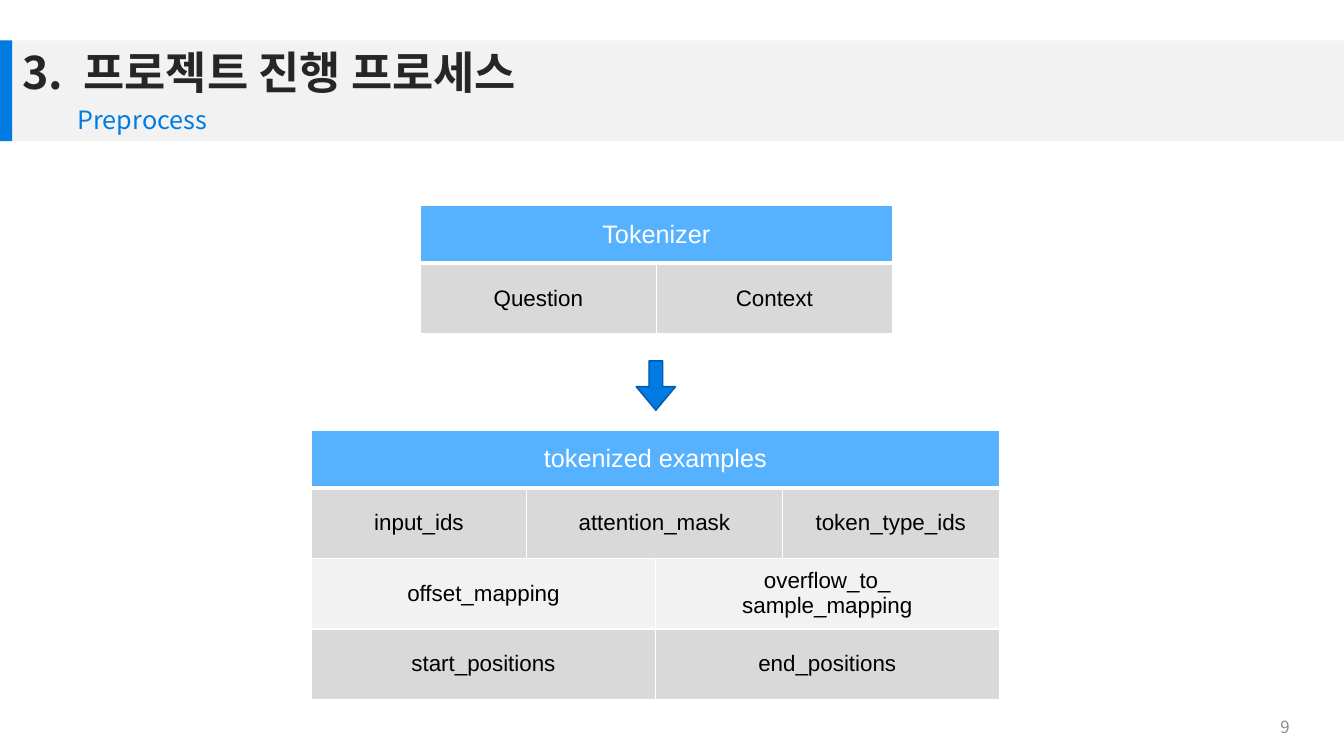
from dataclasses import dataclass

from lxml import etree
from pptx import Presentation
from pptx import util as u
from pptx.dml.color import RGBColor
from pptx.enum import shapes, text
from pptx.oxml import ns

KOREAN = "Noto Sans CJK KR"
BLUE, LIGHT_BLUE, DARK_BLUE = "007BE4", "56B1FF", "005BA9"
PALE, GREY, WHITE, BLACK = "F2F2F2", "D9D9D9", "FFFFFF", "000000"
HEADER_HEIGHT, BODY_HEIGHT = 0.57, 0.7


@dataclass
class Cell:
    label: str
    span: int = 1


@dataclass
class TokenTable:
    left: float
    top: float
    widths: list[float]
    rows: list[list[Cell]]


@dataclass
class Label:
    words: str
    box: tuple[float, float, float, float]
    size: int
    color: str
    align: text.PP_ALIGN = text.PP_ALIGN.LEFT
    bold: bool = False


TABLES = [
    TokenTable(3.09, 4.27, [2.13, 1.28, 1.26, 2.15], [
        [Cell("tokenized examples", 4)],
        [Cell("input_ids"), Cell("attention_mask", 2), Cell("token_type_ids")],
        [Cell("offset_mapping", 2), Cell("overflow_to_\vsample_mapping", 2)],
        [Cell("start_positions", 2), Cell("end_positions", 2)],
    ]),
    TokenTable(4.17, 2.04, [2.34, 2.34], [
        [Cell("Tokenizer", 2)],
        [Cell("Question"), Cell("Context")],
    ]),
]


def rgb(color: str) -> RGBColor:
    return RGBColor.from_string(color)


def style_run(r, font: str, size: int, color: str, bold: bool = False) -> None:
    r.font.name, r.font.size, r.font.bold = font, u.Pt(size), bold
    r.font.color.rgb = rgb(color)
    if font == KOREAN:
        ea = etree.SubElement(r.font._element, ns.qn("a:ea"))
        ea.set("typeface", font)


def write_label(sp, label: Label) -> None:
    sp.left, sp.top, sp.width, sp.height = map(u.Inches, label.box)
    tf = sp.text_frame
    tf.text = label.words
    tf.word_wrap = True
    tf.auto_size = text.MSO_AUTO_SIZE.NONE
    tf.vertical_anchor = text.MSO_ANCHOR.MIDDLE
    p = tf.paragraphs[0]
    p.alignment, p.line_spacing = label.align, 0.9
    for r in p.runs:
        style_run(r, KOREAN, label.size, label.color, label.bold)


def add_block(s, kind, box: tuple[float, ...], fill: str, line: str = ""):
    sp = s.shapes.add_shape(kind, *map(u.Inches, box))
    sp.shadow.inherit = False
    sp.fill.solid()
    sp.fill.fore_color.rgb = rgb(fill)
    if line:
        sp.line.color.rgb = rgb(line)
        sp.line.width = u.Pt(1)
    else:
        sp.line.fill.background()
    return sp


def add_borders(cell, row: int) -> None:
    thick = {(0, "B"), (1, "T")}
    tc_pr = cell._tc.get_or_add_tcPr()
    for side in "LRTB":
        ln = etree.SubElement(tc_pr, ns.qn(f"a:ln{side}"))
        ln.set("w", str(u.Pt(3 if (row, side) in thick else 1)))
        fill = etree.SubElement(ln, ns.qn("a:solidFill"))
        etree.SubElement(fill, ns.qn("a:srgbClr")).set("val", WHITE)


def add_token_table(s, spec: TokenTable) -> None:
    heights = [HEADER_HEIGHT] + [BODY_HEIGHT] * (len(spec.rows) - 1)
    box = spec.left, spec.top, sum(spec.widths), sum(heights)
    table = s.shapes.add_table(
        len(heights), len(spec.widths), *map(u.Inches, box)).table
    for column, width in zip(table.columns, spec.widths):
        column.width = u.Inches(width)
    for i, cells in enumerate(spec.rows):
        table.rows[i].height = u.Inches(heights[i])
        fill = LIGHT_BLUE if i == 0 else GREY if i % 2 else PALE
        size, color = (18, WHITE) if i == 0 else (16, BLACK)
        for cell in table.rows[i].cells:
            add_borders(cell, i)
            cell.fill.solid()
            cell.fill.fore_color.rgb = rgb(fill)
        start = 0
        for item in cells:
            cell = table.cell(i, start)
            if item.span > 1:
                cell.merge(table.cell(i, start + item.span - 1))
            start += item.span
            cell.vertical_anchor = text.MSO_ANCHOR.MIDDLE
            p = cell.text_frame.paragraphs[0]
            p.text, p.alignment = item.label, text.PP_ALIGN.CENTER
            for r in p.runs:
                style_run(r, "Arial", size, color)


def main() -> None:
    """Build the preprocess slide."""
    prs = Presentation()
    prs.slide_width, prs.slide_height = u.Inches(13.33), u.Inches(7.5)
    s = prs.slides.add_slide(prs.slide_layouts[5])
    rectangle = shapes.MSO_SHAPE.RECTANGLE
    band = add_block(s, rectangle, (0, 0.4, 13.33, 1), PALE)
    accent = add_block(s, rectangle, (0, 0.4, 0.12, 1), BLUE)
    title = s.shapes.title
    title._element.addprevious(band._element)
    title._element.addprevious(accent._element)
    write_label(title, Label("3. 프로젝트 진행 프로세스", (0.12, 0.4, 12.77, 0.68),
                             32, "262626", bold=True))
    number, name = title.text_frame.text.split(" ", 1)
    p = title.text_frame.paragraphs[0]
    p.runs[0].text = number
    for words in (" ", name):
        r = p.add_run()
        r.text = words
        style_run(r, KOREAN, 32, "262626", True)
    p.runs[1].font._element.set("spc", "720")
    for label in (
        Label("Preprocess", (0.67, 1, 11.99, 0.41), 18, BLUE),
        Label("9", (9.89, 7.1, 3, 0.25), 12, "8C8C8C", text.PP_ALIGN.RIGHT),
    ):
        write_label(s.shapes.add_textbox(0, 0, 0, 0), label)
    for spec in TABLES:
        add_token_table(s, spec)
    arrow = add_block(s, shapes.MSO_SHAPE.DOWN_ARROW,
                      (6.31, 3.58, 0.39, 0.49), BLUE, DARK_BLUE)
    arrow.adjustments[0], arrow.adjustments[1] = 0.35, 0.6
    prs.save("out.pptx")


if __name__ == "__main__":
    main()
